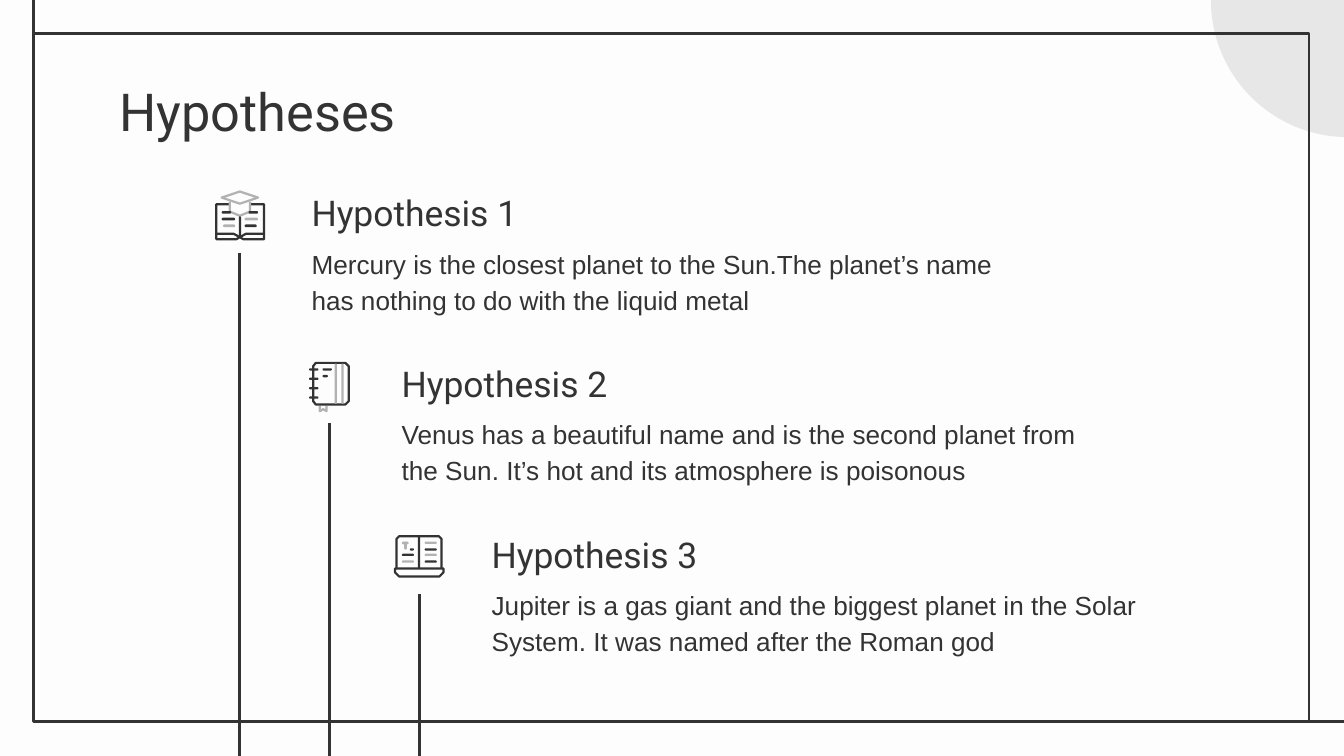
from lxml.etree import SubElement
from pptx import Presentation
from pptx.dml.color import RGBColor
from pptx.enum.shapes import MSO_CONNECTOR, MSO_SHAPE
from pptx.enum.text import MSO_ANCHOR, MSO_AUTO_SIZE, PP_ALIGN
from pptx.oxml.ns import qn
from pptx.util import Inches, Pt

INK, GREY, PAPER, DISC = "333333", "B2B2B2", "FDFDFD", "E8E7E7"
WIDTH = 10
HEIGHT = WIDTH * 9 / 16

TITLE = "Hypotheses"
HYPOTHESES = [
    ("Hypothesis 1", "Mercury is the closest planet to the Sun.The planet’s name "
                     "has nothing to do with the liquid metal"),
    ("Hypothesis 2", "Venus has a beautiful name and is the second planet from "
                     "the Sun. It’s hot and its atmosphere is poisonous"),
    ("Hypothesis 3", "Jupiter is a gas giant and the biggest planet in the Solar "
                     "System. It was named after the Roman god"),
]

# Icon parts, in hundredths of an inch from the tile's corner.
# outlines: colour, closed, points; bars: colour, x, y, width, height
BOOK_AND_CAP = {
    "outlines": [
        (INK, False, [(21, 20), (11, 20), (11, 46), (26, 46), (28.5, 44.5),
                      (31, 46), (46.5, 46), (46.5, 20), (36, 20)]),
        (INK, False, [(11, 42), (24, 42), (28.5, 44.5), (33, 42), (46.5, 42)]),
        (GREY, True, [(28.5, 10.5), (42, 15), (28.5, 19.5), (15, 15)]),
        (GREY, False, [(21, 18), (21, 25.5), (28.5, 28.5), (36, 25.5), (36, 18)]),
    ],
    "bars": [
        (INK, 27.7, 29, 1.6, 15), (INK, 15, 25, 7, 2), (INK, 35, 25, 7, 2),
        (INK, 15, 30, 10, 2), (GREY, 32, 30, 10, 2),
        (GREY, 16, 35, 9, 2), (INK, 32, 35, 9, 2),
    ],
}
NOTEBOOK = {
    "outlines": [
        (GREY, False, [(21, 43), (21, 47), (23.5, 45.5), (26, 47), (26, 43)]),
        (INK, True, [(18, 11), (40, 11), (42.5, 13.5), (42.5, 39.5), (40, 42),
                     (18, 42), (16, 39.5), (16, 13.5)]),
    ],
    "bars": [(GREY, x, 11.5, 1.7, 30) for x in (32, 37)]
            + [(INK, 13, 15 + 7 * ring, 7, 1.7) for ring in range(4)]
            + [(INK, 23, 15, 7, 1.7), (INK, 23, 20, 4, 1.7)],
}
OPEN_BOOK = {
    "outlines": [
        (INK, False, [(11, 37), (11, 15), (13, 13), (42.5, 13), (44.5, 15), (44.5, 37)]),
        (INK, True, [(10, 37), (46, 37), (46, 40), (43, 43), (13, 43), (10, 40)]),
    ],
    "bars": [
        (INK, 27, 13, 1.7, 24), (GREY, 15, 17, 5, 2), (GREY, 16.7, 17, 2, 6),
        (INK, 21, 22, 3, 1.7), (INK, 15, 26, 9, 1.7), (GREY, 15, 31, 9, 1.7),
    ] + [(color, 32, y, 9, 1.7)
         for color, y in ((GREY, 17), (INK, 22), (GREY, 26), (INK, 31))],
}
ICONS = [BOOK_AND_CAP, NOTEBOOK, OPEN_BOOK]

# Staircase of rows
FIRST_X, FIRST_Y = 1.5, 1.32
STEP_X, STEP_Y = 0.67, 1.27
TILE = 0.56
TEXT_X, TEXT_WIDTH = 0.72, 5.33


def rgb(color):
    return RGBColor.from_string(color)


def style(shape, fill=None, line=None, weight=1.5):
    shape.shadow.inherit = False
    if fill:
        shape.fill.solid()
        shape.fill.fore_color.rgb = rgb(fill)
    else:
        shape.fill.background()
    if line:
        shape.line.color.rgb = rgb(line)
        shape.line.width = Pt(weight)
    else:
        shape.line.fill.background()
    return shape


def add_block(shapes, kind, x, y, width, height, **look):
    shape = shapes.add_shape(kind, Inches(x), Inches(y), Inches(width), Inches(height))
    return style(shape, **look)


def add_line(page, x1, y1, x2, y2):
    line = page.shapes.add_connector(
        MSO_CONNECTOR.STRAIGHT, Inches(x1), Inches(y1), Inches(x2), Inches(y2))
    line.line.color.rgb = rgb(INK)
    line.line.width = Pt(1.5)
    SubElement(line._element.spPr, qn("a:effectLst"))
    return line


def write(box, text, size, font, anchor=MSO_ANCHOR.TOP, spacing=1.0):
    frame = box.text_frame
    frame.word_wrap = True
    frame.auto_size = MSO_AUTO_SIZE.NONE
    frame.vertical_anchor = anchor
    frame.margin_left = frame.margin_right = Inches(0.1)
    frame.margin_top = frame.margin_bottom = Inches(0.1)
    para = frame.paragraphs[0]
    para.alignment = PP_ALIGN.LEFT
    para.line_spacing = spacing
    span = para.add_run()
    span.text = text
    span.font.size = Pt(size)
    span.font.name = font
    span.font.color.rgb = rgb(INK)


def add_text(page, text, x, y, width, height, **look):
    box = page.shapes.add_textbox(Inches(x), Inches(y), Inches(width), Inches(height))
    write(box, text, **look)


def add_icon(page, icon, x, y):
    group = page.shapes.add_group_shape()
    for color, closed, points in icon["outlines"]:
        corners = [(Inches(x + px / 100), Inches(y + py / 100)) for px, py in points]
        builder = group.shapes.build_freeform(*corners[0])
        builder.add_line_segments(corners[1:], close=closed)
        style(builder.convert_to_shape(), line=color, weight=1.2)
    for color, *place in icon["bars"]:
        left, top, width, height = (value / 100 for value in place)
        bar = add_block(group.shapes, MSO_SHAPE.ROUNDED_RECTANGLE,
                        x + left, y + top, width, height, fill=color)
        bar.adjustments[0] = 0.5


deck = Presentation()
deck.slide_width, deck.slide_height = Inches(WIDTH), Inches(HEIGHT)
page = deck.slides.add_slide(deck.slide_layouts[5])
page.background.fill.solid()
page.background.fill.fore_color.rgb = rgb(PAPER)

# Disc and frame with its two running-out lines
add_block(page.shapes, MSO_SHAPE.OVAL, 9.01, -1.02, 2.04, 2.04, fill=DISC)
add_block(page.shapes, MSO_SHAPE.RECTANGLE, 0.25, 0.25, 9.49, 5.12, line=INK)
add_line(page, 0.25, 0.25, 0.25, 0)
add_line(page, 9.74, 5.37, WIDTH, 5.37)

# Title
title = page.shapes.title
title.left, title.top, title.width, title.height = map(Inches, (0.79, 0.49, 8.43, 0.63))
write(title, TITLE, size=28, font="Roboto")

# Rows: tile with icon, line down to the slide's edge, heading and text
for row, ((heading, body), icon) in enumerate(zip(HYPOTHESES, ICONS)):
    x, y = FIRST_X + row * STEP_X, FIRST_Y + row * STEP_Y
    tile = add_block(page.shapes, MSO_SHAPE.RECTANGLE, x, y, TILE, TILE, fill=PAPER)
    add_icon(page, icon, x, y)
    stem = add_line(page, x + TILE / 2, y + TILE, x + TILE / 2, HEIGHT)
    stem.begin_connect(tile, 2)
    add_text(page, body, x + TEXT_X, y + 0.39, TEXT_WIDTH, 0.58,
             size=14, font="Arial", spacing=1.15)
    add_text(page, heading, x + TEXT_X, y + 0.05, TEXT_WIDTH, 0.47,
             size=19, font="Roboto", anchor=MSO_ANCHOR.BOTTOM, spacing=1.15)

deck.save("out.pptx")
